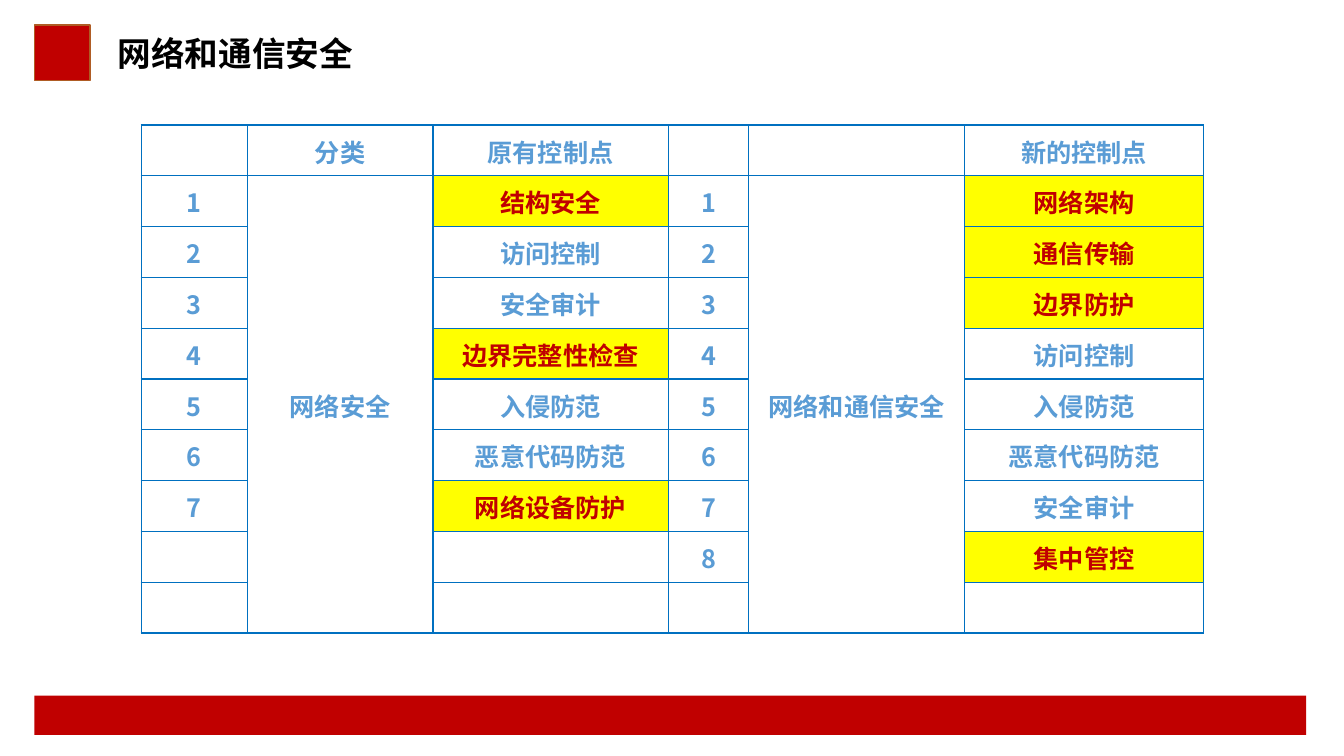
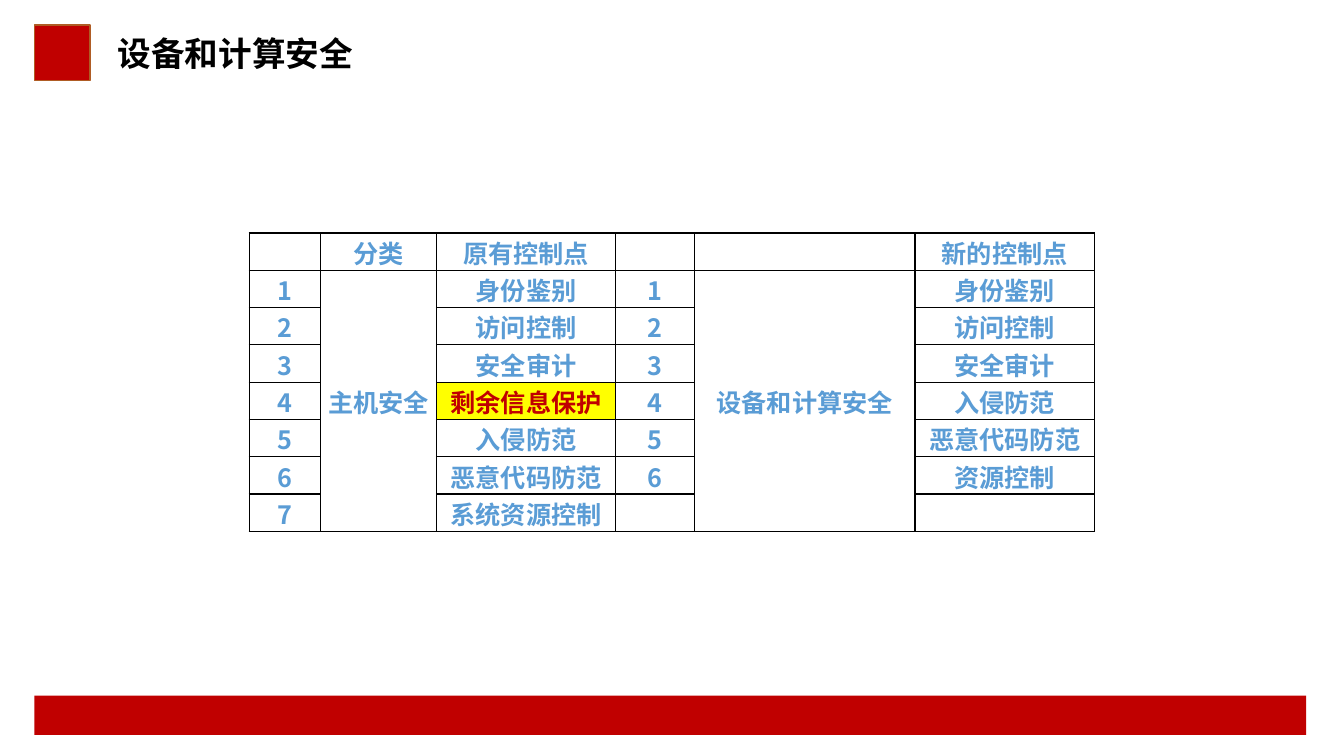
"""Builds two slides that compare old and new security control points."""
from dataclasses import dataclass
from itertools import product

from lxml import etree
from pptx import Presentation
from pptx.dml.color import RGBColor
from pptx.enum.shapes import MSO_SHAPE
from pptx.enum.text import MSO_ANCHOR, PP_ALIGN
from pptx.oxml.ns import qn
from pptx.slide import Slide
from pptx.table import _Cell
from pptx.text.text import _Paragraph
from pptx.util import Cm, Pt

RED = RGBColor(0xC0, 0x00, 0x00)
BROWN = RGBColor(0xAF, 0x5C, 0x24)
BLACK = RGBColor(0x00, 0x00, 0x00)
WHITE = RGBColor(0xFF, 0xFF, 0xFF)
YELLOW = RGBColor(0xFF, 0xFF, 0x00)
SKY = RGBColor(0x5A, 0x9C, 0xD5)
BLUE = RGBColor(0x00, 0x70, 0xC0)

RECT = MSO_SHAPE.RECTANGLE
MIDDLE = MSO_ANCHOR.MIDDLE
CENTER = PP_ALIGN.CENTER
FONT = "Noto Sans CJK SC"
HEADS = ("", "分类", "原有控制点", "", "", "新的控制点")


@dataclass(frozen=True)
class Block:
    """A coloured block, in centimetres."""
    left: float
    top: float
    width: float
    height: float
    edge: RGBColor | None = None


@dataclass(frozen=True)
class Topic:
    """A slide title with its table of control points, in centimetres."""
    title: str
    group: str
    old: tuple[str, ...]
    new: tuple[str, ...]
    hot: frozenset[str]
    left: float
    top: float
    widths: tuple[float, ...]
    height: float
    rows: int
    edge: RGBColor


BLOCKS = (
    Block(0.87, 17.53, 32.05, 0.99),
    Block(0.87, 0.63, 1.4, 1.4, BROWN),
)

TOPICS = (
    Topic(
        "网络和通信安全", "网络安全",
        ("结构安全", "访问控制", "安全审计", "边界完整性检查", "入侵防范",
         "恶意代码防范", "网络设备防护"),
        ("网络架构", "通信传输", "边界防护", "访问控制", "入侵防范",
         "恶意代码防范", "安全审计", "集中管控"),
        frozenset(("结构安全", "边界完整性检查", "网络设备防护", "网络架构",
                   "通信传输", "边界防护", "集中管控")),
        3.56, 3.15, (2.67, 4.68, 5.93, 2.03, 5.44, 6.02), 1.28, 9, BLUE),
    Topic(
        "设备和计算安全", "主机安全",
        ("身份鉴别", "访问控制", "安全审计", "剩余信息保护", "入侵防范",
         "恶意代码防范", "系统资源控制"),
        ("身份鉴别", "访问控制", "安全审计", "入侵防范", "恶意代码防范",
         "资源控制"),
        frozenset(("剩余信息保护",)),
        6.28, 5.87, (1.8, 2.92, 4.52, 1.98, 5.56, 4.52), 0.94, 7, BLACK),
)


def style(para: _Paragraph, size: int, color: RGBColor) -> None:
    """Format every run of a paragraph in the bold deck font."""
    for run in para.runs:
        font = run.font
        font.size, font.bold, font.name = Pt(size), True, FONT
        font.color.rgb = color
        etree.SubElement(run._r.get_or_add_rPr(), qn("a:ea"), typeface=FONT)


def frame(slide: Slide, title: str) -> None:
    """Draw the blocks and the title that every slide has."""
    for block in BLOCKS:
        shape = slide.shapes.add_shape(
            RECT, Cm(block.left), Cm(block.top),
            Cm(block.width), Cm(block.height))
        shape.shadow.inherit = False
        shape.fill.solid()
        shape.fill.fore_color.rgb = RED
        if block.edge is None:
            shape.line.fill.background()
        else:
            shape.line.color.rgb = block.edge
            shape.line.width = Pt(1)
    box = slide.shapes.add_textbox(Cm(2.72), Cm(0.63), Cm(14.2), Cm(1.4))
    text = box.text_frame
    text.word_wrap = True
    text.vertical_anchor = MIDDLE
    text.text = title
    style(text.paragraphs[0], 24, BLACK)


def border(cell: _Cell, color: RGBColor) -> None:
    """Give a cell a thin line on all four sides."""
    props = cell._tc.get_or_add_tcPr()
    for side in ("lnL", "lnR", "lnT", "lnB"):
        line = etree.SubElement(props, qn(f"a:{side}"), w=str(Pt(1)))
        fill = etree.SubElement(line, qn("a:solidFill"))
        etree.SubElement(fill, qn("a:srgbClr"), val=str(color))


def paint(cell: _Cell, text: str, edge: RGBColor, hot: bool) -> None:
    """Fill in one cell, marked when its control point changes."""
    border(cell, edge)
    cell.fill.solid()
    cell.fill.fore_color.rgb = YELLOW if hot else WHITE
    cell.margin_left = cell.margin_right = cell.margin_top = Cm(0.03)
    cell.margin_bottom = 0
    cell.vertical_anchor = MIDDLE
    cell.text_frame.text = text
    para = cell.text_frame.paragraphs[0]
    para.alignment = CENTER
    style(para, 18, RED if hot else SKY)


def column(items: tuple[str, ...], rows: int) -> list[str]:
    """Pad a column with empty cells to the number of rows."""
    return [*items, *[""] * (rows - len(items))]


def count(items: tuple[str, ...]) -> tuple[str, ...]:
    """Number the items from one."""
    return tuple(str(num) for num in range(1, len(items) + 1))


def grid(slide: Slide, topic: Topic) -> None:
    """Draw the table of old and new control points."""
    parts = (count(topic.old), (topic.group,), topic.old,
             count(topic.new), (topic.title,), topic.new)
    cols = [[head, *column(part, topic.rows)]
            for head, part in zip(HEADS, parts)]
    total = topic.rows + 1
    table = slide.shapes.add_table(
        total, len(cols), Cm(topic.left), Cm(topic.top),
        Cm(sum(topic.widths)), Cm(topic.height * total)).table
    table.first_row = table.horz_banding = False
    for col, width in zip(table.columns, topic.widths):
        col.width = Cm(width)
    for row in table.rows:
        row.height = Cm(topic.height)
    for row, col in product(range(total), range(len(cols))):
        text = cols[col][row]
        paint(table.cell(row, col), text, topic.edge, text in topic.hot)
    for col in (1, 4):
        table.cell(1, col).merge(table.cell(topic.rows, col))


def main() -> None:
    """Build and save the deck."""
    deck = Presentation()
    deck.slide_width, deck.slide_height = Cm(33.87), Cm(19.05)
    for topic in TOPICS:
        slide = deck.slides.add_slide(deck.slide_layouts[6])
        frame(slide, topic.title)
        grid(slide, topic)
    deck.save("out.pptx")


if __name__ == "__main__":
    main()
